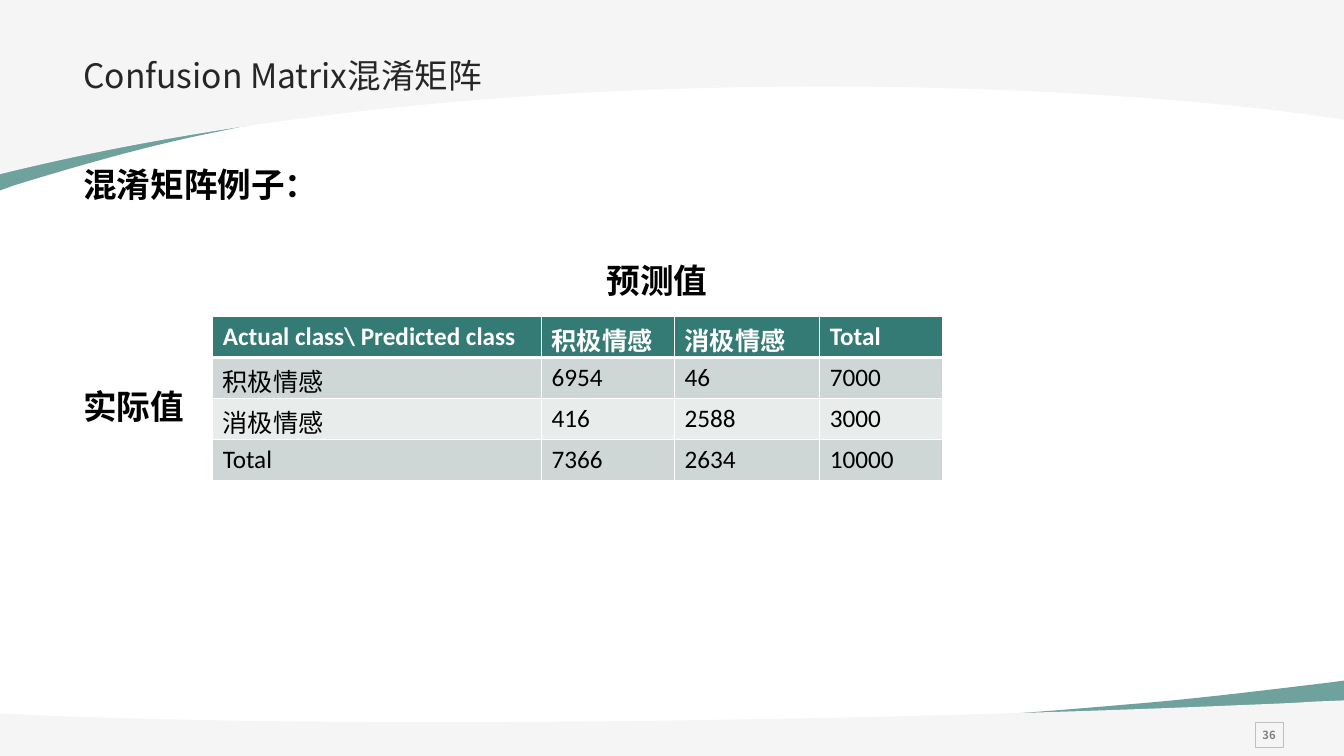
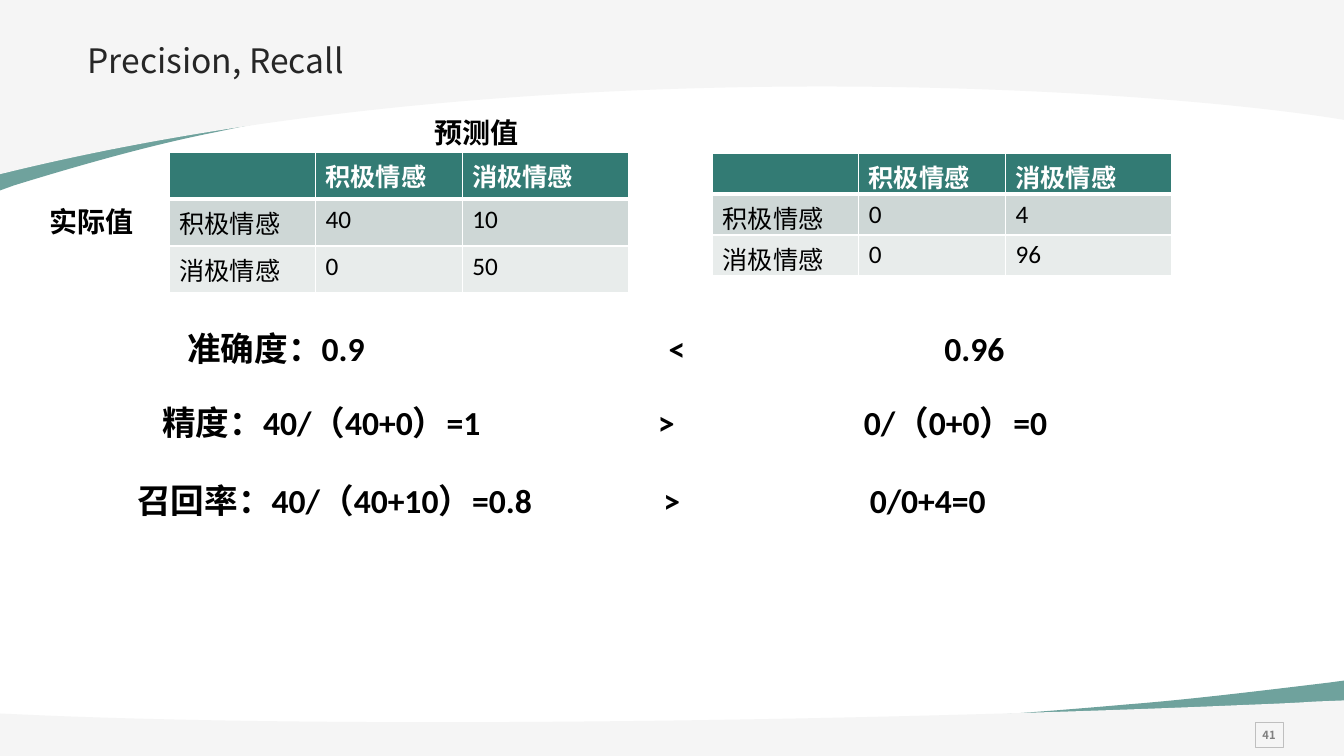
"""Build two slides on the confusion matrix, precision and recall."""
import lxml.etree
import pptx
import pptx.dml.color
import pptx.enum.shapes
import pptx.enum.text
import pptx.oxml
import pptx.oxml.ns
import pptx.util

Cm = pptx.util.Cm
Pt = pptx.util.Pt
RGBColor = pptx.dml.color.RGBColor
Align = pptx.enum.text.PP_ALIGN
Anchor = pptx.enum.text.MSO_ANCHOR
qn = pptx.oxml.ns.qn
sub = lxml.etree.SubElement

TEAL = RGBColor(0x33, 0x7B, 0x74)
PALE = RGBColor(0xF5, 0xF5, 0xF5)
DARK = RGBColor(0xCE, 0xD7, 0xD6)
LIGHT = RGBColor(0xE8, 0xEC, 0xEB)
WHITE = RGBColor(0xFF, 0xFF, 0xFF)
BLACK = RGBColor(0, 0, 0)
INK = RGBColor(0x26, 0x26, 0x26)
GRAY = RGBColor(0x80, 0x80, 0x80)
FRAME = RGBColor(0xBF, 0xBF, 0xBF)

SANS = "Noto Sans CJK SC"
BODY = "Calibri"
WIDE, HIGH = 33.87, 19.05

WAVES = [
    (TEAL, 70, [(0, 4.8), (0, 0.56), (WIDE, 0.56), (WIDE, 2.31),
                (26.21, 0.15, 13.06, 1.7, 5.44, 3.33),
                (3.91, 3.63, 2.18, 4.11, 0.36, 4.67)]),
    (PALE, 100, [(0, 0), (WIDE, 0), (WIDE, 3.02),
                 (28.96, 2.21, 13.13, 1.14, 0, 4.39)]),
    (TEAL, 70, [(WIDE, 17.15), (WIDE, 18.9), (0, 18.9), (0, 18.16),
                (7.65, 19.05, 20.83, 18.42, 28.42, 17.75),
                (29.95, 17.63, 31.67, 17.42, 33.5, 17.2)]),
    (PALE, 100, [(WIDE, 17.65), (WIDE, HIGH), (0, HIGH), (0, 17.98),
                 (1.12, 18.03),
                 (9.96, 18.39, 23.11, 18.11, 30.99, 17.78),
                 (31.65, 17.75, 32.39, 17.73, 33.12, 17.68)]),
]


class Deck:
    """Hold the shared style and the current slide."""

    def __init__(self):
        """Start an empty wide deck."""
        self.file = pptx.Presentation()
        self.file.slide_width = Cm(WIDE)
        self.file.slide_height = Cm(HIGH)
        self.slide = None

    def page(self, number, title, left, top):
        """Add a slide with its waves, number and title."""
        self.slide = self.file.slides.add_slide(self.file.slide_layouts[6])
        for color, alpha, parts in WAVES:
            self.wave(color, alpha, parts)
        self.badge(number)
        self.text(title, left, top, 30.15, 2.85, font=SANS, color=INK,
                  bold=False, space=0.9)

    def wave(self, color, alpha, parts):
        """Draw one band bounded by lines and cubic curves."""
        ends = [(Cm(part[-2]), Cm(part[-1])) for part in parts]
        pen = self.slide.shapes.build_freeform(*ends[0], scale=1.0)
        pen.add_line_segments(ends[1:], close=True)
        shape = pen.convert_to_shape()
        lines = list(shape._element.iter(qn("a:lnTo")))
        for line, part in zip(lines, parts[1:]):
            if len(part) == 6:
                self.bend(shape, line, part)
        shape.shadow.inherit = False
        shape.line.fill.background()
        shape.fill.solid()
        shape.fill.fore_color.rgb = color
        if alpha < 100:
            tint = shape.fill._xPr.find(qn("a:solidFill"))[0]
            sub(tint, qn("a:alpha"), val=str(alpha * 1000))

    def bend(self, shape, line, part):
        """Turn a straight segment into a cubic curve."""
        curve = lxml.etree.Element(qn("a:cubicBezTo"))
        for x, y in zip(part[::2], part[1::2]):
            sub(curve, qn("a:pt"), x=str(Cm(x) - shape.left),
                y=str(Cm(y) - shape.top))
        line.getparent().replace(line, curve)

    def badge(self, number):
        """Draw the framed slide number."""
        shape = self.slide.shapes.add_shape(
            pptx.enum.shapes.MSO_SHAPE.RECTANGLE,
            Cm(31.63), Cm(18.21), Cm(0.71), Cm(0.63))
        shape.shadow.inherit = False
        shape.fill.background()
        shape.line.color.rgb = FRAME
        shape.line.width = Pt(0.75)
        frame = shape.text_frame
        frame.word_wrap = False
        frame.vertical_anchor = Anchor.MIDDLE
        frame.margin_left = frame.margin_right = Cm(0.2)
        frame.margin_top = frame.margin_bottom = Cm(0.2)
        line = frame.paragraphs[0]
        line.alignment = Align.CENTER
        self.run(line, str(number), 8, SANS, GRAY, True)

    def run(self, line, words, size, font, color, bold):
        """Add one styled run to a paragraph."""
        run = line.add_run()
        run.text = words
        run.font.size = Pt(size)
        run.font.bold = bold
        run.font.color.rgb = color
        run.font.name = font
        sub(run.font._element, qn("a:ea"), typeface=SANS)

    def text(self, words, left, top, width, height, size=24, font=BODY,
             color=BLACK, bold=True, space=None, tabs=()):
        """Add a text box with one run and optional tab stops."""
        box = self.slide.shapes.add_textbox(
            Cm(left), Cm(top), Cm(width), Cm(height))
        box.text_frame.word_wrap = True
        line = box.text_frame.paragraphs[0]
        line.line_spacing = space
        if tabs:
            stops = sub(line._p.get_or_add_pPr(), qn("a:tabLst"))
            for tab in tabs:
                sub(stops, qn("a:tab"), pos=str(Cm(tab)), algn="l")
        self.run(line, words, size, font, color, bold)

    def edge(self, cell, row):
        """Give a cell white borders, thick below the header."""
        props = cell._tc.get_or_add_tcPr()
        thick = {"T": row == 1, "B": row == 0}
        for side in "LRTB":
            width = Pt(3 if thick.get(side) else 1)
            line = sub(props, qn("a:ln" + side), w=str(int(width)))
            fill = sub(line, qn("a:solidFill"))
            sub(fill, qn("a:srgbClr"), val=str(WHITE))

    def grid(self, rows, left, top, widths, height):
        """Add a table with a teal header and banded rows."""
        table = self.slide.shapes.add_table(
            len(rows), len(widths), Cm(left), Cm(top),
            Cm(sum(widths)), Cm(height * len(rows))).table
        for col, width in zip(table.columns, widths):
            col.width = Cm(width)
        for r, words in enumerate(rows):
            table.rows[r].height = Cm(height)
            head = r == 0
            for c, word in enumerate(words):
                cell = table.cell(r, c)
                self.edge(cell, r)
                cell.fill.solid()
                cell.fill.fore_color.rgb = (
                    TEAL if head else DARK if r % 2 else LIGHT)
                if word:
                    self.run(cell.text_frame.paragraphs[0], word, 18, BODY,
                             WHITE if head else BLACK, head)


def main():
    """Build both slides and save the deck."""
    deck = Deck()
    good, bad = "积极情感", "消极情感"

    deck.page(36, "Confusion Matrix混淆矩阵", 1.85, 1.37)
    deck.text("混淆矩阵例子：", 1.85, 4.01, 6.5, 1.27, font="Lato")
    deck.text("预测值", 15.04, 6.43, 7.24, 1.27)
    deck.text("实际值", 1.85, 9.6, 3.12, 1.27)
    deck.grid([("Actual class\\ Predicted class", good, bad, "Total"),
               (good, "6954", "46", "7000"),
               (bad, "416", "2588", "3000"),
               ("Total", "7366", "2634", "10000")],
              5.36, 7.98, (8.29, 3.35, 3.66, 3.09), 1.03)

    deck.page(41, "Precision, Recall", 1.96, 0.99)
    deck.text("\t".join(("精度：40/（40+0）=1", ">", "0/（0+0）=0")),
              3.84, 10.11, 26.37, 1.32, space=0.9, tabs=(12.49, 17.68))
    deck.text("\t".join(("准确度：0.9", "<", "0.96")),
              4.47, 8.15, 24.64, 1.68, tabs=(12.13, 19.08))
    for left, top, height, cells in (
            (4.27, 3.84, 1.18, ("40", "10", "0", "50")),
            (17.96, 3.86, 1.03, ("0", "4", "0", "96"))):
        deck.grid([("", good, bad), (good, *cells[:2]), (bad, *cells[2:])],
                  left, top, (3.68, 3.7, 4.19), height)
    deck.text("预测值", 10.7, 2.78, 7.24, 1.12, size=20)
    deck.text("实际值", 1.0, 5.04, 3.25, 1.12, size=20)
    deck.text("\t".join(("召回率：40/（40+10）=0.8", ">", "0/0+4=0")),
              3.21, 12.09, 26.37, 1.32, space=0.9, tabs=(13.26, 18.46))

    deck.file.save("out.pptx")


if __name__ == "__main__":
    main()
